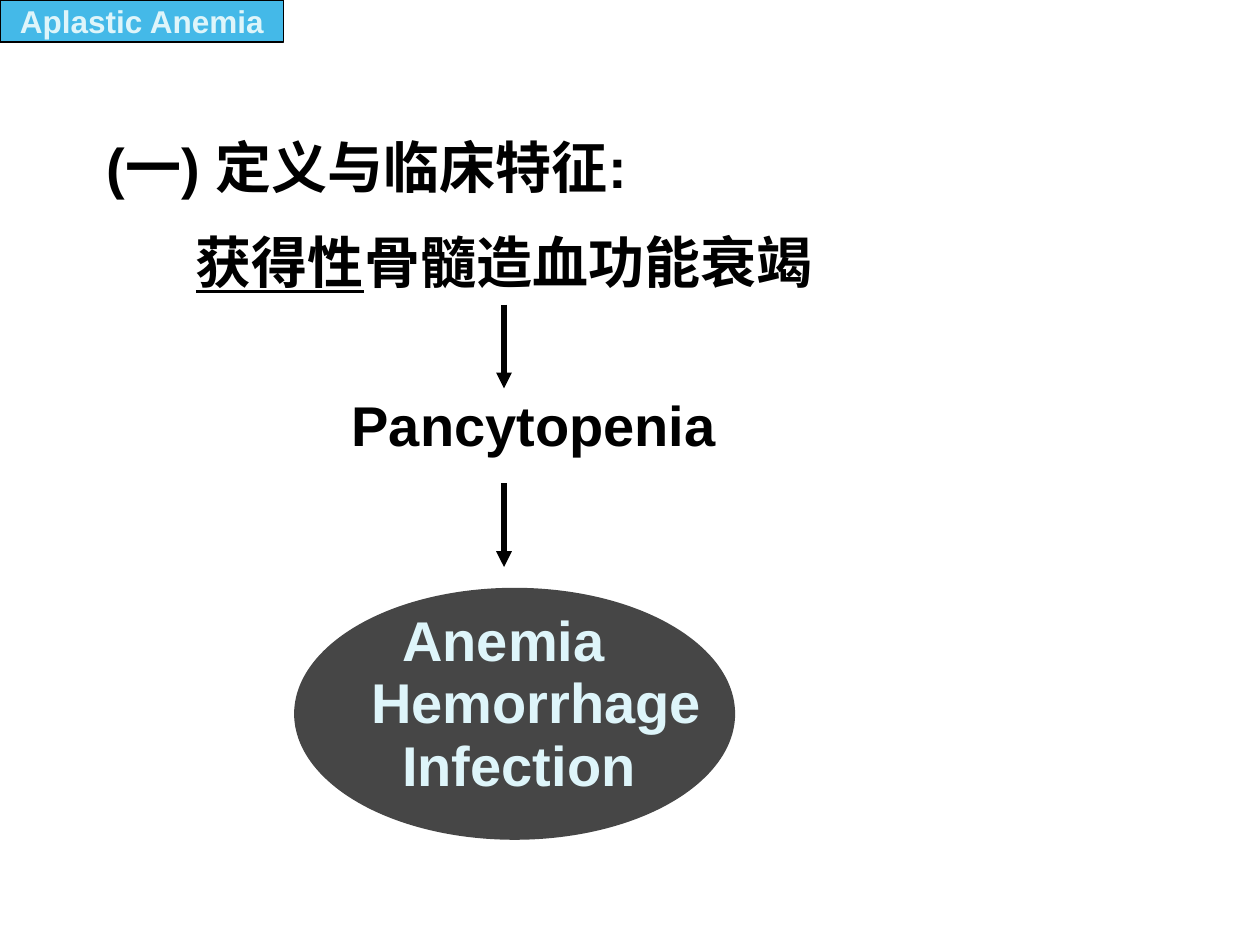
from pptx import Presentation
from pptx import util as u
from pptx.dml.color import RGBColor
from pptx.enum import shapes, text
from pptx.oxml.ns import qn
from lxml import etree

BLACK = RGBColor(0x00, 0x00, 0x00)
SKY = RGBColor(0x44, 0xB9, 0xE8)
PALE = RGBColor(0xDE, 0xF5, 0xFA)
GREY = RGBColor(0x46, 0x46, 0x46)


class SlideBuilder:
    FONT = "Arial"

    def __init__(self, slide):
        self.s = slide

    def paragraph(self, tf, runs, size=32, color=BLACK, first=False, indent=0,
                  before=0, spacing=None, align=text.PP_ALIGN.LEFT):
        """Add a paragraph of (wording, underlined) runs, indented in cm."""
        p = tf.paragraphs[0] if first else tf.add_paragraph()
        p.alignment = align
        if indent:
            pPr = p._p.get_or_add_pPr()
            pPr.set("marL", str(int(u.Cm(indent))))
            pPr.set("indent", "0")
        if before and not first:
            p.space_before = u.Pt(before)
        if spacing:
            p.line_spacing = spacing
        for wording, underlined in runs:
            r = p.add_run()
            r.text = wording
            r.font.name = self.FONT
            r.font.size = u.Pt(size)
            r.font.bold = True
            r.font.underline = underlined
            r.font.color.rgb = color

    def text_box(self, left, top, width, height):
        sp = self.s.shapes.add_textbox(u.Cm(left), u.Cm(top), u.Cm(width), u.Cm(height))
        sp.text_frame.word_wrap = True
        return sp.text_frame

    def shape(self, kind, left, top, width, height, fill, line=None):
        sp = self.s.shapes.add_shape(kind, u.Cm(left), u.Cm(top), u.Cm(width), u.Cm(height))
        sp.shadow.inherit = False
        sp.fill.solid()
        sp.fill.fore_color.rgb = fill
        if line is None:
            sp.line.fill.background()
        else:
            sp.line.color.rgb = line
            sp.line.width = u.Pt(0.75)
        tf = sp.text_frame
        tf.word_wrap = False
        tf.vertical_anchor = text.MSO_ANCHOR.MIDDLE
        return tf

    def down_arrow(self, x, top, length):
        c = self.s.shapes.add_connector(shapes.MSO_CONNECTOR.STRAIGHT, u.Cm(x), u.Cm(top),
                                        u.Cm(x), u.Cm(top + length))
        c.line.color.rgb = BLACK
        c.line.width = u.Pt(3)
        etree.SubElement(c.line._get_or_add_ln(), qn("a:tailEnd"), type="triangle")
        etree.SubElement(c._element.spPr, qn("a:effectLst"))


def main():
    prs = Presentation()
    prs.slide_width, prs.slide_height = u.Cm(25.4), u.Cm(19.05)
    b = SlideBuilder(prs.slides.add_slide(prs.slide_layouts[6]))

    tf = b.text_box(1.9, 2.54, 21.8, 15.16)
    b.paragraph(tf, [("(一) 定义与临床特征:", False)], first=True)
    b.paragraph(tf, [("获得性", True), ("骨髓造血功能衰竭", False)], indent=1.8, before=16)
    b.paragraph(tf, [("Pancytopenia", False)], indent=4.94, before=64, spacing=0.75)

    tf = b.shape(shapes.MSO_SHAPE.OVAL, 5.93, 11.85, 8.89, 5.08, GREY)
    symptoms = [("Anemia", 0.63), ("Hemorrhage", 0), ("Infection", 0.63)]
    for i, (symptom, indent) in enumerate(symptoms):
        b.paragraph(tf, [(symptom, False)], color=PALE, first=i == 0,
                    indent=indent, before=16.5, spacing=0.5)

    for top in (9.74, 6.14):
        b.down_arrow(10.16, top, 1.69)

    tf = b.shape(shapes.MSO_SHAPE.RECTANGLE, 0, 0, 5.72, 0.85, SKY, BLACK)
    b.paragraph(tf, [("Aplastic Anemia", False)], size=18, color=PALE, first=True,
                align=text.PP_ALIGN.CENTER)

    prs.save("out.pptx")


if __name__ == "__main__":
    main()
